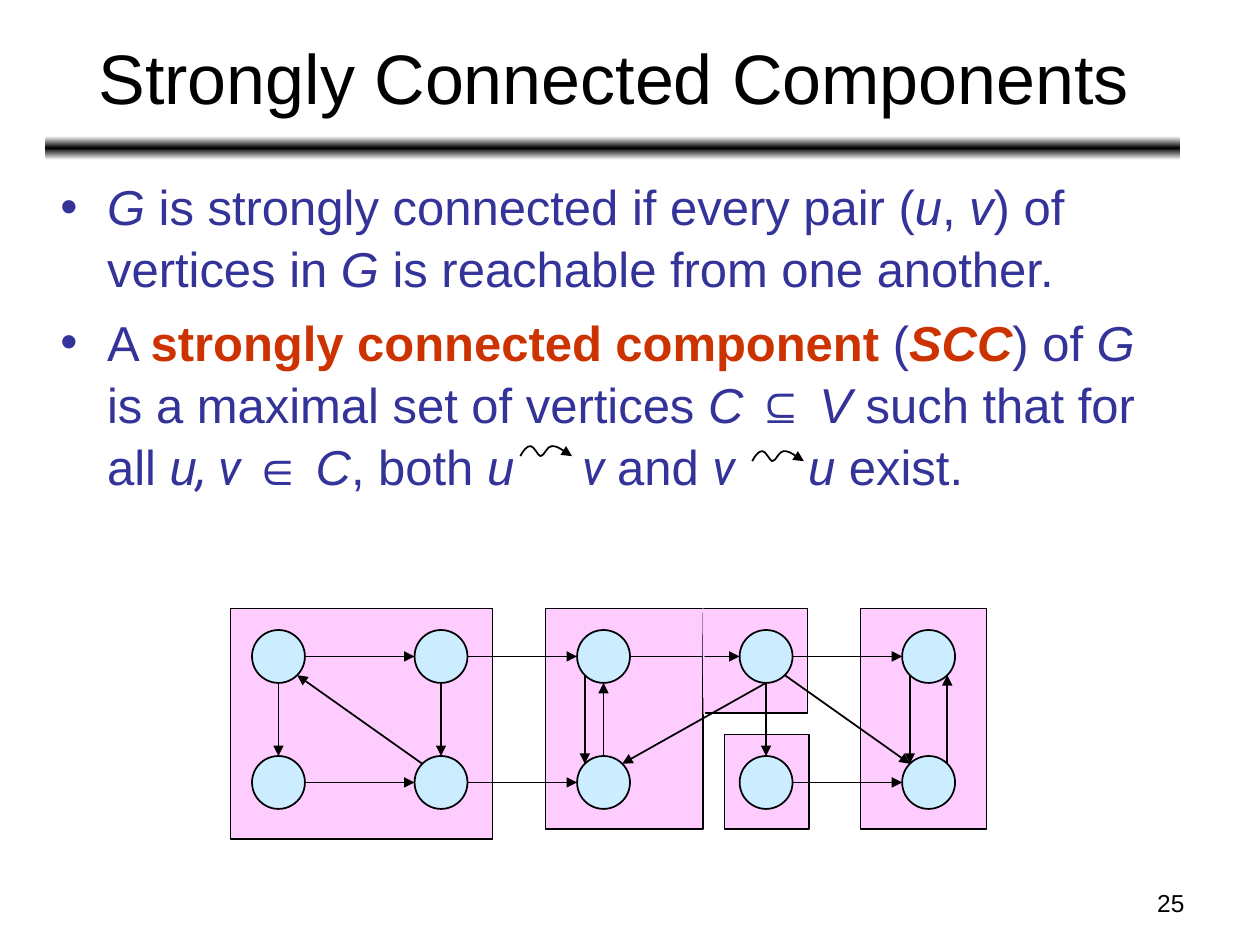
"""Build a slide that defines strongly connected components."""
from copy import deepcopy
from dataclasses import dataclass
from math import sqrt

from lxml.etree import SubElement
from pptx import Presentation
from pptx.dml.color import RGBColor as Color
from pptx.enum.shapes import MSO_CONNECTOR as Connector, MSO_SHAPE as Preset
from pptx.enum.text import MSO_ANCHOR as Anchor, MSO_AUTO_SIZE as AutoSize, PP_ALIGN as Align
from pptx.oxml.ns import qn
from pptx.util import Inches, Pt


@dataclass(frozen=True)
class Theme:
    """Colours, fonts and type sizes of the slide."""
    ink: str = "000000"
    paper: str = "FFFFFF"
    body: str = "333399"
    accent: str = "CC3300"
    region: str = "FFCCFF"
    vertex: str = "CCECFF"
    font: str = "Arial"
    alternate: str = "Roboto"
    title_size: int = 40
    body_size: int = 28
    number_size: int = 14


DIAGONAL = 1 / sqrt(2)
SIDES = {
    "N": (0, -1), "S": (0, 1), "W": (-1, 0), "E": (1, 0),
    "NW": (-DIAGONAL, -DIAGONAL), "NE": (DIAGONAL, -DIAGONAL),
    "SW": (-DIAGONAL, DIAGONAL), "SE": (DIAGONAL, DIAGONAL),
}
RADIUS = 0.21
COLUMNS = [2.21 + 1.29 * column for column in range(5)]
ROWS = [5.21, 6.21]

REGIONS = [
    (5.75, 5.83, 0.67, 0.75),
    (6.83, 4.83, 1, 1.75),
    (5.58, 4.83, 0.83, 0.83),
    (4.33, 4.83, 1.25, 1.75),
    (1.83, 4.83, 2.08, 1.83),
]
HORIZONTAL = [(0, 0), (0, 1), (1, 0), (1, 1), (2, 0), (3, 0), (3, 1)]
EDGES = [((column, row), "E", (column + 1, row), "W") for column, row in HORIZONTAL] + [
    ((column, 0), "S", (column, 1), "N") for column in (0, 1, 3)
] + [
    ((1, 1), "NW", (0, 0), "SE"),
    ((3, 0), "S", (2, 1), "NE"),
    ((2, 1), "N", (2, 0), "S"),
    ((2, 0), "SW", (2, 1), "NW"),
    ((4, 0), "SW", (4, 1), "NW"),
    ((4, 1), "NE", (4, 0), "SE"),
    ((3, 0), "SE", (4, 1), "NW"),
]
WAVE = [
    (0.02, 0.04), (0.05, 0), (0.08, 0), (0.11, 0), (0.14, 0.08), (0.16, 0.08),
    (0.19, 0.08), (0.21, 0), (0.25, 0), (0.29, 0), (0.35, 0.04), (0.41, 0.08),
]
BULLETS = [
    [("G", "i"), (" is strongly connected if every pair (", ""), ("u", "i"), (", ", ""),
     ("v", "i"), (") of vertices in ", ""), ("G ", "i"),
     ("is reachable from one another.", "")],
    [("A ", ""), ("strongly connected component ", "ba"), ("(", ""), ("SCC", "bia"),
     (") of ", ""), ("G ", "i"), ("is a maximal set of vertices ", ""), ("C ", "i"),
     ("⊆ ", ""), ("V ", "i"), ("such that for all ", ""), ("u", "i"), (", v ", "ir"),
     ("∈ ", ""), ("C", "i"), (", both ", ""), ("u", "i"), (" ", "i", 31), ("v ", "ir"),
     ("and ", ""), ("v", "ir"), (" ", "ir", 34.7), ("u", "i"), (" exist.", "")],
]


class SlideBuilder:
    """Holds the theme and the current page."""

    def __init__(self, page, theme):
        """Keep the page and its theme."""
        self.page, self.theme = page, theme

    def place(self, box, at):
        """Move a text box and give it plain margins and wrapping."""
        box.left, box.top, box.width, box.height = map(Inches, at)
        frame = box.text_frame
        frame.word_wrap, frame.auto_size = True, AutoSize.NONE
        return frame

    def span(self, para, text, size, color, style="", gap=0):
        """Add a run; style letters are b bold, i italic, a accent, r alternate font."""
        run = para.add_run()
        run.text = text
        font = run.font
        font.size = Pt(size)
        font.name = self.theme.alternate if "r" in style else self.theme.font
        font.bold, font.italic = "b" in style, "i" in style
        font.color.rgb = Color.from_string(self.theme.accent if "a" in style else color)
        if gap:
            font._element.set("spc", str(round(gap * 100)))

    def title(self, text, at):
        """Fill the title placeholder."""
        frame = self.place(self.page.shapes.title, at)
        frame.vertical_anchor = Anchor.MIDDLE
        para = frame.paragraphs[0]
        para.alignment = Align.CENTER
        self.span(para, text, self.theme.title_size, self.theme.ink)

    def bullets(self, items, at):
        """Fill the body placeholder with a bulleted list."""
        frame = self.place(self.page.placeholders[1], at)
        frame.vertical_anchor = Anchor.TOP
        for index, spans in enumerate(items):
            para = frame.add_paragraph() if index else frame.paragraphs[0]
            para.space_before = Pt(7 if index else 0)
            para.line_spacing = 1.05
            properties = para._p.get_or_add_pPr()
            properties.set("marL", str(Inches(0.37)))
            properties.set("indent", str(Inches(-0.37)))
            bullet_color = SubElement(properties, qn("a:buClr"))
            SubElement(bullet_color, qn("a:srgbClr")).set("val", self.theme.body)
            SubElement(properties, qn("a:buChar")).set("char", "•")
            for text, style, *gap in spans:
                self.span(para, text, self.theme.body_size, self.theme.body, style, *gap)

    def number(self, text, at):
        """Add the page number."""
        frame = self.place(self.page.shapes.add_textbox(*map(Inches, at)), at)
        para = frame.paragraphs[0]
        para.alignment = Align.RIGHT
        self.span(para, text, self.theme.number_size, self.theme.ink)

    def stroke(self, line, color, arrow=False):
        """Style a line, with an optional arrowhead at its end."""
        line.color.rgb = Color.from_string(color)
        line.width = Pt(1)
        if arrow:
            SubElement(line._get_or_add_ln(), qn("a:tailEnd")).set("type", "triangle")

    def shape(self, preset, at, fill):
        """Add a filled, outlined preset shape."""
        shape = self.page.shapes.add_shape(preset, *map(Inches, at))
        shape.shadow.inherit = False
        shape.fill.solid()
        shape.fill.fore_color.rgb = Color.from_string(fill)
        self.stroke(shape.line, self.theme.ink)

    def bar(self, at):
        """Add the gradient bar below the title."""
        bar = self.page.shapes.add_shape(Preset.ROUNDED_RECTANGLE, *map(Inches, at))
        bar.shadow.inherit = False
        bar.line.fill.background()
        bar.fill.gradient()
        bar.fill.gradient_angle = 90
        first = bar.fill.gradient_stops[0]._gs
        first.addnext(deepcopy(first))
        colors = (self.theme.paper, self.theme.ink, self.theme.paper)
        for stop, position, color in zip(bar.fill.gradient_stops, (0, 0.5, 1), colors):
            stop.position = position
            stop.color.rgb = Color.from_string(color)

    def line(self, start, end, color, arrow=False):
        """Add a straight connector."""
        line = self.page.shapes.add_connector(Connector.STRAIGHT, *map(Inches, start + end))
        SubElement(line._element.spPr, qn("a:effectLst"))
        self.stroke(line.line, color, arrow)

    def wave(self, left, top):
        """Add a wavy arrow made of cubic curves."""
        points = [(Inches(left + x), Inches(top + y)) for x, y in WAVE]
        builder = self.page.shapes.build_freeform(Inches(left), Inches(top + 0.08))
        wave = builder.add_line_segments(points, close=False).convert_to_shape()
        wave.shadow.inherit = False
        wave.fill.background()
        self.stroke(wave.line, self.theme.ink, arrow=True)
        segments = list(wave._element.iter(qn("a:lnTo")))
        outline = segments[0].getparent()
        for index in range(0, len(segments), 3):
            curve = SubElement(outline, qn("a:cubicBezTo"))
            for segment in segments[index:index + 3]:
                curve.append(segment[0])
                outline.remove(segment)


def anchor(vertex, side):
    """Return the point on one side of a vertex."""
    column, row = vertex
    across, down = SIDES[side]
    return COLUMNS[column] + RADIUS * across, ROWS[row] + RADIUS * down


def main():
    """Build and save the deck."""
    deck = Presentation()
    deck.slide_width, deck.slide_height = Inches(10), Inches(7.5)
    theme = Theme()
    slide = SlideBuilder(deck.slides.add_slide(deck.slide_layouts[1]), theme)
    slide.bar((0.36, 1.08, 9.01, 0.19))
    slide.title("Strongly Connected Components", (0.37, 0.11, 9, 0.99))
    slide.bullets(BULLETS, (0.38, 1.33, 9, 5.55))
    for region in REGIONS:
        slide.shape(Preset.RECTANGLE, region, theme.region)
    slide.wave(4.13, 3.54)
    slide.wave(5.97, 3.58)
    for x in COLUMNS:
        for y in ROWS:
            slide.shape(Preset.OVAL, (x - RADIUS, y - RADIUS, 2 * RADIUS, 2 * RADIUS), theme.vertex)
    for source, leaving, target, entering in EDGES:
        slide.line(anchor(source, leaving), anchor(target, entering), theme.ink, arrow=True)
    slide.line((5.58, 4.83), (5.59, 5.67), theme.region)
    slide.number("25", (7.17, 7, 2.33, 0.35))
    deck.save("out.pptx")


if __name__ == "__main__":
    main()
